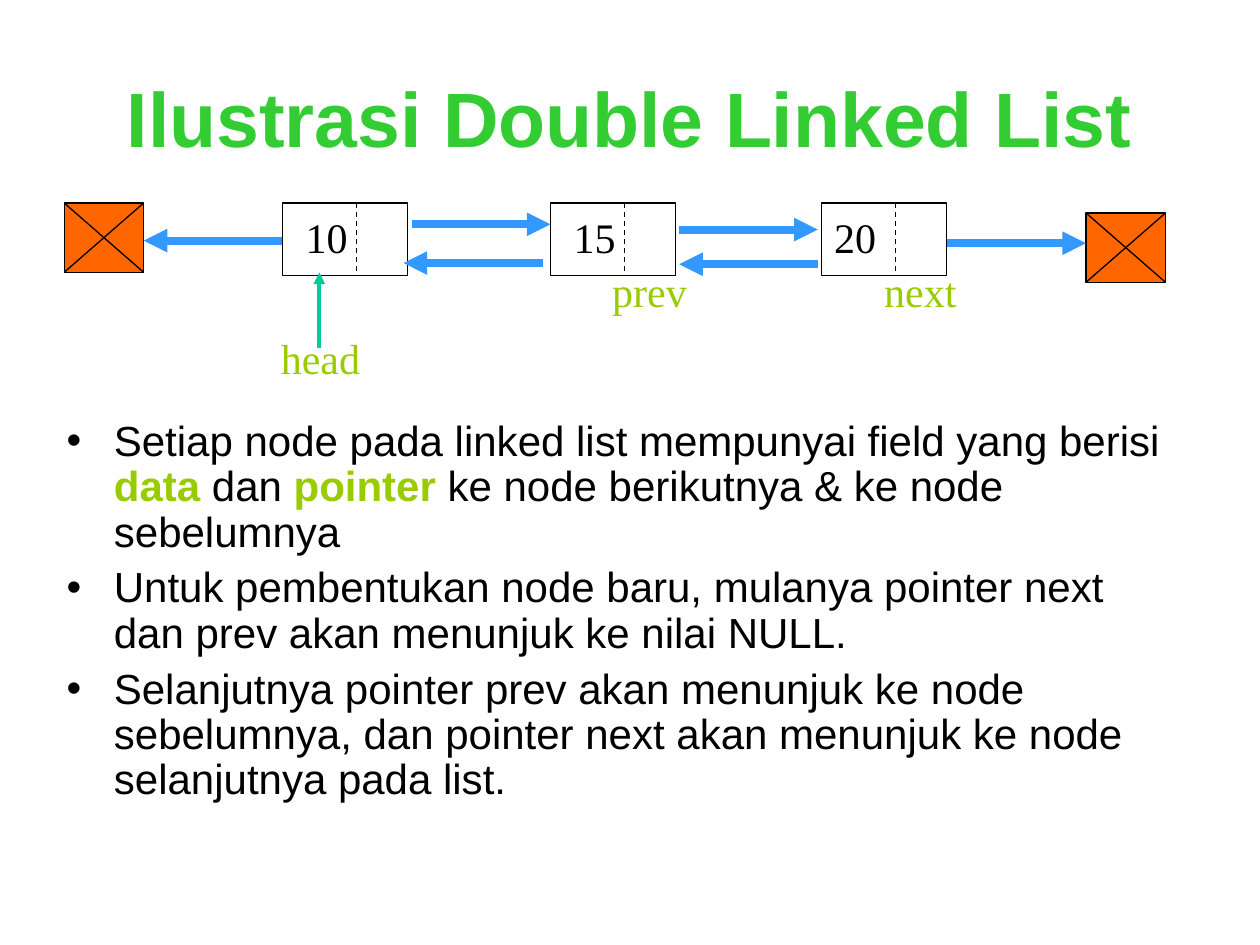
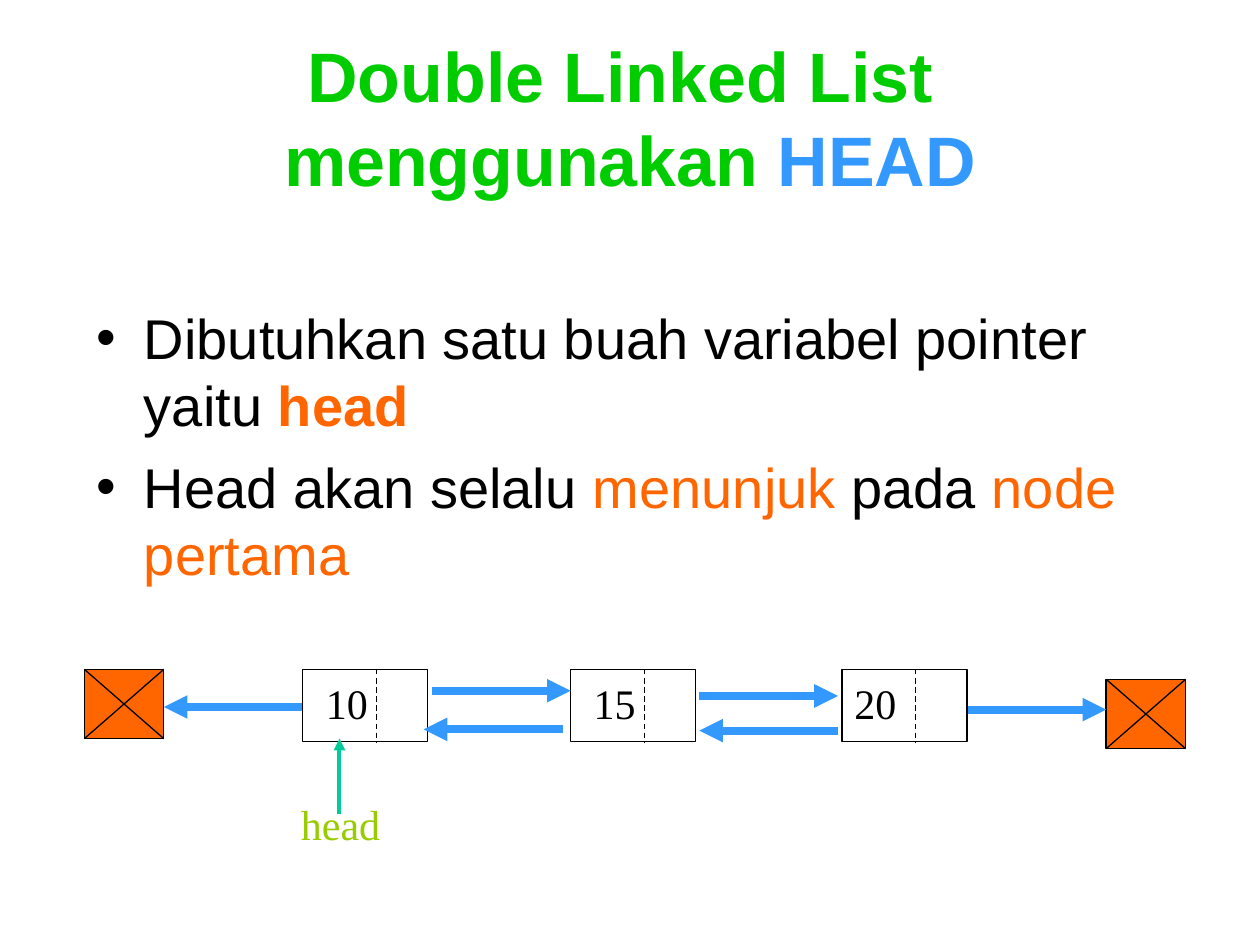
from lxml.etree import SubElement as Sub
from pptx import Presentation
from pptx.dml.color import RGBColor
from pptx.enum.dml import MSO_LINE as Dash
from pptx.enum.shapes import MSO_CONNECTOR as Conn, MSO_SHAPE as Kind
from pptx.enum.text import MSO_ANCHOR as Anchor, MSO_AUTO_SIZE as Fit, PP_ALIGN as Align
from pptx.oxml.ns import qn
from pptx.util import Pt

BLACK = RGBColor(0x00, 0x00, 0x00)
WHITE = RGBColor(0xFF, 0xFF, 0xFF)
GREEN = RGBColor(0x33, 0xCC, 0x33)
LEAF = RGBColor(0x00, 0xCC, 0x00)
LIME = RGBColor(0x99, 0xCC, 0x00)
BLUE = RGBColor(0x33, 0x99, 0xFF)
TEAL = RGBColor(0x00, 0xCC, 0x99)
ORANGE = RGBColor(0xFF, 0x66, 0x00)
SANS, SERIF = "Arial", "Times New Roman"


def write(frame, text, font=SANS, size=24, color=BLACK, bold=False, align=Align.LEFT,
          anchor=Anchor.TOP, wrap=True, left=7.2, lead=1.0, gap=0, bullet=False):
    frame.auto_size = Fit.NONE
    frame.word_wrap = wrap
    frame.vertical_anchor = anchor
    frame.margin_left, frame.margin_right = Pt(left), Pt(7.2)
    frame.margin_top = frame.margin_bottom = Pt(3.6)
    paras = [[text]] if isinstance(text, str) else text
    for i, parts in enumerate(paras):
        para = frame.add_paragraph() if i else frame.paragraphs[0]
        para.alignment = align
        para.line_spacing = lead
        para.space_before = Pt(gap if i else 0)
        if bullet:
            props = para._p.get_or_add_pPr()
            props.set("marL", str(Pt(27)))
            props.set("indent", str(-Pt(27)))
            Sub(props, qn("a:buFont"), typeface=SANS)
            Sub(props, qn("a:buChar"), char="•")
        for part in parts:
            words, tint, heavy = (part, color, bold) if isinstance(part, str) else part
            for j, line in enumerate(words.split("\n")):
                if j:
                    para.add_line_break()
                run = para.add_run()
                run.text = line
                run.font.name, run.font.size = font, Pt(size)
                run.font.bold, run.font.color.rgb = heavy, tint


def draw(slide, x1, y1, x2, y2, color=BLACK, width=0.75, dash=False, arrow=False):
    line = slide.shapes.add_connector(Conn.STRAIGHT, Pt(x1), Pt(y1), Pt(x2), Pt(y2))
    line.line.color.rgb = color
    line.line.width = Pt(width)
    if dash:
        line.line.dash_style = Dash.DASH
    if arrow:
        Sub(line.line._get_or_add_ln(), qn("a:tailEnd"), type="triangle")
    Sub(line._element.spPr, qn("a:effectLst"))


PAGES = [
    dict(title=[["Ilustrasi Double Linked List"]], size=44, color=GREEN,
         place=(31, 236.5, 648, 270), form=dict(size=24, lead=0.9, gap=6),
         body=[["Setiap node pada linked list mempunyai field yang berisi ",
                ("data", LIME, True), " dan", (" pointer", LIME, True),
                " ke node berikutnya & ke node sebelumnya"],
               ["Untuk pembentukan node baru, mulanya pointer next dan prev akan "
                "menunjuk ke nilai NULL."],
               ["Selanjutnya pointer prev akan menunjuk ke node sebelumnya, dan pointer "
                "next akan menunjuk ke node selanjutnya pada list."]],
         shift=(0, 0),
         tags=[("head", 153.4, 188.6, 60), ("prev", 342.7, 150.5, 57),
               ("next", 498.2, 150.5, 55.4)]),
    dict(title=[["Double Linked List \nmenggunakan ", ("HEAD", BLUE, True)]],
         size=40, color=LEAF,
         place=(48.2, 170, 648, 200), form=dict(size=32, gap=8),
         body=[["Dibutuhkan satu buah variabel pointer yaitu ", ("head", ORANGE, True)],
               ["Head akan selalu ", ("menunjuk", ORANGE, False), " pada ",
                ("node pertama", ORANGE, False)]],
         shift=(11.5, 266.5),
         tags=[("head", 153.4, 188.6, 60)]),
]
NODES = [("10", 161.5, 13.2), ("15", 314.6, 13.2), ("20", 469.6, 7.2)]
ENDS = [(36.7, 116), (620.6, 121.7)]
ARROWS = [(235.4, 314.6, 128.2), (388.1, 467.3, 131.2), (541.4, 620.6, 139),
          (310.3, 230.6, 150.3), (467.3, 388.1, 151), (161.3, 82.1, 137.5)]
TOP, WIDE, HIGH = 116, 71.5, 41.3

deck = Presentation()
deck.slide_width, deck.slide_height = Pt(720), Pt(540)

for page in PAGES:
    slide = deck.slides.add_slide(deck.slide_layouts[5])
    head = slide.shapes.title
    head.left, head.top, head.width, head.height = Pt(36), Pt(21.6), Pt(648), Pt(90)
    write(head.text_frame, page["title"], size=page["size"], color=page["color"],
          bold=True, align=Align.CENTER, anchor=Anchor.MIDDLE)

    body = slide.shapes.add_textbox(*map(Pt, page["place"]))
    write(body.text_frame, page["body"], bullet=True, **page["form"])

    dx, dy = page["shift"]
    for text, x, left in NODES:
        node = slide.shapes.add_shape(Kind.RECTANGLE, Pt(x + dx), Pt(TOP + dy),
                                      Pt(WIDE), Pt(HIGH))
        node.shadow.inherit = False
        node.fill.solid()
        node.fill.fore_color.rgb = WHITE
        node.line.color.rgb = BLACK
        node.line.width = Pt(0.75)
        write(node.text_frame, text, font=SERIF, anchor=Anchor.MIDDLE, left=left, lead=0.95)
        mid = x + dx + 42.1
        draw(slide, mid, TOP + dy, mid, TOP + dy + HIGH, dash=True)

    for x, y in ENDS:
        x, y = x + dx, y + dy
        null = slide.shapes.add_shape(Kind.RECTANGLE, Pt(x), Pt(y), Pt(45.4), Pt(39.6))
        null.shadow.inherit = False
        null.fill.solid()
        null.fill.fore_color.rgb = ORANGE
        null.line.color.rgb = BLACK
        null.line.width = Pt(0.75)
        draw(slide, x, y, x + 45.4, y + 39.6)
        draw(slide, x + 45.4, y, x, y + 39.6)

    for start, end, y in ARROWS:
        draw(slide, start + dx, y + dy, end + dx, y + dy, color=BLUE, width=4.5, arrow=True)
    draw(slide, 182.5 + dx, 198.9 + dy, 182.5 + dx, 155.6 + dy,
         color=TEAL, width=2.25, arrow=True)

    for text, x, y, wide in page["tags"]:
        tag = slide.shapes.add_textbox(Pt(x + dx), Pt(y + dy), Pt(wide), Pt(34.6))
        write(tag.text_frame, text, font=SERIF, color=LIME, wrap=False, lead=0.95)

deck.save("out.pptx")
